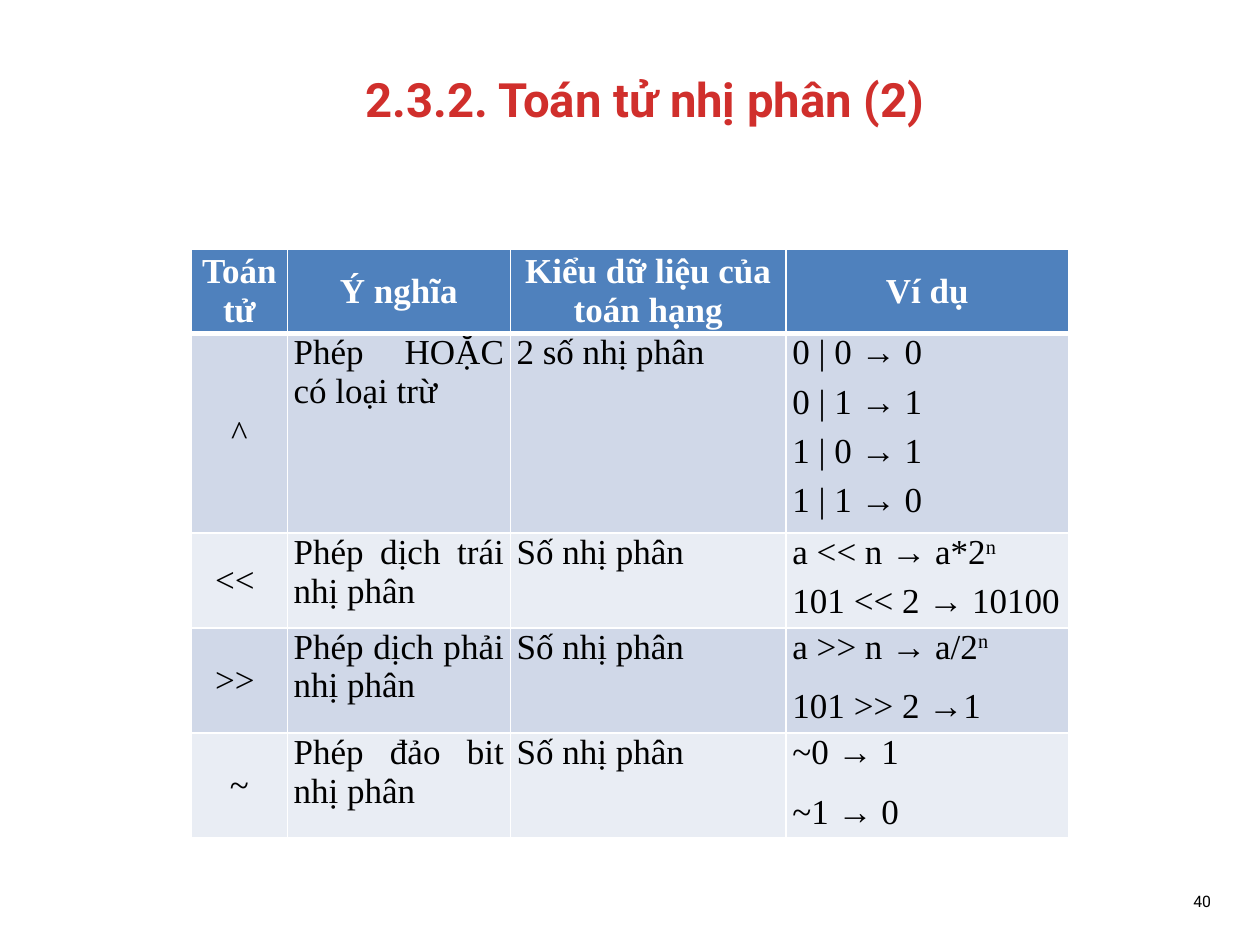
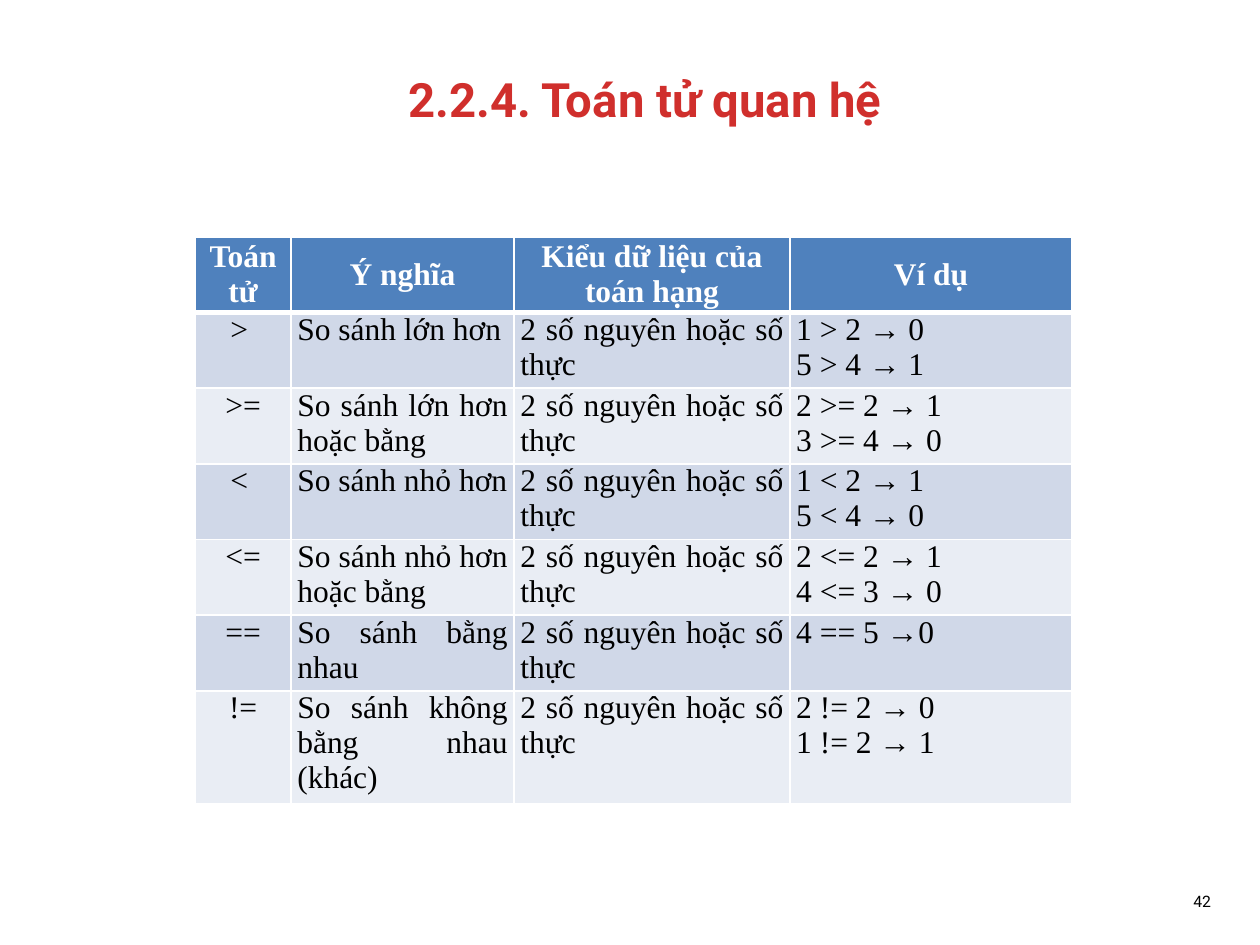
"""Build two slides that tabulate binary and relational operators."""
from lxml import etree
from pptx import Presentation
from pptx.dml.color import RGBColor
from pptx.enum.text import MSO_ANCHOR, PP_ALIGN
from pptx.oxml.ns import qn
from pptx.util import Inches, Pt

HUES = {"title": "D02F2C", "head": "4F81BD", "odd": "D0D8E8", "even": "E9EDF4",
        "white": "FFFFFF", "black": "000000"}
WIDTHS = [0.76, 1.77, 2.19, 2.24]
HEADS = ("Toán tử", "Ý nghĩa", "Kiểu dữ liệu của toán hạng", ["Ví dụ"])
REALS = "2 số nguyên hoặc số thực"
PAGES = [
    {"title": "2.3.2. Toán tử nhị phân (2)", "num": "40", "at": (1.52, 1.98), "size": 20,
     "anchor": MSO_ANCHOR.MIDDLE, "highs": [0.65, 1.48, 0.71, 0.78, 0.78],
     "gaps": [0, 6, 6, 12, 12],
     "rows": [
         ("^", "Phép HOẶC có loại trừ", "2 số nhị phân",
          ["0 | 0 → 0", "0 | 1 → 1", "1 | 0 → 1", "1 | 1 → 0"]),
         ("<< ", "Phép dịch trái nhị phân", "Số nhị phân",
          ["a << n → a*2_n", "101 << 2 → 10100"]),
         (">> ", "Phép dịch phải nhị phân", "Số nhị phân",
          ["a >> n → a/2_n", "101 >> 2 →1"]),
         ("~", "Phép đảo bit nhị phân", "Số nhị phân", ["~0 → 1", "~1 → 0"])]},
    {"title": "2.2.4. Toán tử quan hệ", "num": "42", "at": (1.55, 1.88), "size": 18,
     "anchor": MSO_ANCHOR.TOP, "highs": [0.6] * 6 + [0.9], "gaps": [0] * 7,
     "rows": [
         ("> ", "So sánh lớn hơn", REALS, ["1 > 2 → 0", "5 > 4 → 1"]),
         (">=", "So sánh lớn hơn hoặc bằng", REALS, ["2 >= 2 → 1", "3 >= 4 → 0"]),
         ("< ", "So sánh nhỏ hơn", REALS, ["1 < 2 → 1", "5 < 4 → 0"]),
         ("<=", "So sánh nhỏ hơn hoặc bằng", REALS, ["2 <= 2 → 1", "4 <= 3 → 0"]),
         ("==", "So sánh bằng nhau", REALS, ["4 == 5 →0"]),
         ("!=", "So sánh không bằng nhau (khác)", REALS, ["2 != 2 → 0", "1 != 2 → 1"])]},
]


def write(para, text, face, size, hue, bold, align):
    para.alignment = align
    base, _, power = text.partition("_")
    for part in filter(None, (base, power)):
        run = para.add_run()
        run.text = part
        run.font.name = face
        run.font.size = Pt(size)
        run.font.bold = bold
        run.font.color.rgb = RGBColor.from_string(HUES[hue])
    if power:
        run._r.get_or_add_rPr().set("baseline", "30000")


def edge(cell, side, width):
    line = etree.SubElement(cell._tc.get_or_add_tcPr(), qn("a:ln" + side), w=str(Pt(width)))
    fill = etree.SubElement(line, qn("a:solidFill"))
    etree.SubElement(fill, qn("a:srgbClr"), val=HUES["white"])


deck = Presentation()
deck.slide_width, deck.slide_height = Inches(10), Inches(7.5)

for page in PAGES:
    slide = deck.slides.add_slide(deck.slide_layouts[6])
    labels = [(page["title"], (0.41, 0.16, 9.42, 1.25), 27, "title", True, PP_ALIGN.CENTER),
              (page["num"], (9.13, 6.95, 0.58, 0.4), 9, "black", False, PP_ALIGN.RIGHT)]
    for text, box, size, hue, bold, align in labels:
        frame = slide.shapes.add_textbox(*map(Inches, box)).text_frame
        frame.word_wrap = True
        frame.vertical_anchor = MSO_ANCHOR.MIDDLE
        write(frame.paragraphs[0], text, "Roboto", size, hue, bold, align)

    rows = [HEADS] + page["rows"]
    left, top = page["at"]
    grid = slide.shapes.add_table(len(rows), len(WIDTHS), Inches(left), Inches(top),
                                  Inches(sum(WIDTHS)), Inches(sum(page["highs"]))).table
    grid.horz_banding = False
    for col, width in zip(grid.columns, WIDTHS):
        col.width = Inches(width)
    for r, row in enumerate(rows):
        grid.rows[r].height = Inches(page["highs"][r])
        head = r == 0
        band = "head" if head else "odd" if r % 2 else "even"
        for c, item in enumerate(row):
            cell = grid.cell(r, c)
            cell.margin_left = cell.margin_right = Inches(0.05)
            cell.margin_top = cell.margin_bottom = 0
            cell.vertical_anchor = (MSO_ANCHOR.MIDDLE if head else
                                    page["anchor"] if c == 0 else MSO_ANCHOR.TOP)
            for side, width in (("L", 1), ("R", 1), ("T", 3 if r == 1 else 1),
                                ("B", 3 if head else 1)):
                edge(cell, side, width)
            cell.fill.solid()
            cell.fill.fore_color.rgb = RGBColor.from_string(HUES[band])
            align = PP_ALIGN.CENTER if head or c == 0 else PP_ALIGN.JUSTIFY
            frame = cell.text_frame
            for i, text in enumerate(item if c == 3 else [item]):
                para = frame.add_paragraph() if i else frame.paragraphs[0]
                if i:
                    para.space_before = Pt(page["gaps"][r])
                write(para, text, "Times New Roman", page["size"],
                      "white" if head else "black", head, align)

deck.save("out.pptx")
